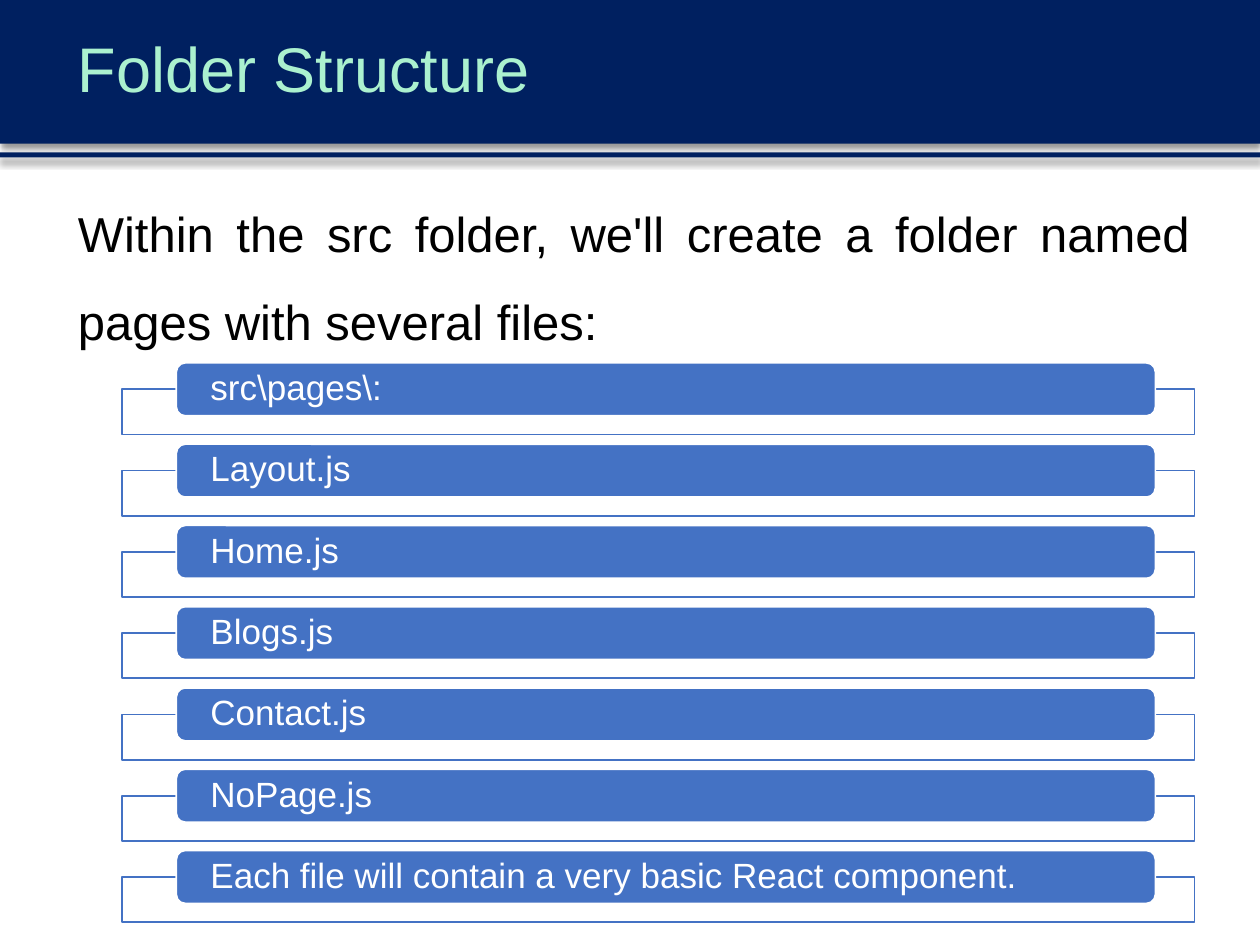
from typing import NamedTuple, Optional

from lxml import etree
from pptx import Presentation
from pptx import util as u
from pptx.dml.color import RGBColor
from pptx.enum import shapes, text
from pptx.oxml.ns import qn

WIDE, HIGH = 10, 7.5
NAVY, BLUE, WHITE, BLACK, MINT = "002060", "4472C4", "FFFFFF", "000000", "ABF1CF"
FONT = "Arial"
RECT = shapes.MSO_SHAPE.RECTANGLE
ROUND = shapes.MSO_SHAPE.ROUNDED_RECTANGLE

TOP, STEP = 2.88, 0.645  # first file row and the pitch of the rows
FILES = ["src\\pages\\:", "Layout.js", "Home.js", "Blogs.js", "Contact.js",
         "NoPage.js", "Each file will contain a very basic React component."]


class Box(NamedTuple):
    left: float
    top: float
    width: float
    height: float


class Style(NamedTuple):
    size: float
    color: str
    lines: float
    align: text.PP_ALIGN = text.PP_ALIGN.LEFT
    anchor: text.MSO_ANCHOR = text.MSO_ANCHOR.MIDDLE
    side: float = 0.1
    edge: float = 0.05


HEAD = Style(36, MINT, 0.9)
BODY = Style(28, BLACK, 1.5, text.PP_ALIGN.JUSTIFY, text.MSO_ANCHOR.TOP)
LABEL = Style(20, WHITE, 0.9, side=0.25, edge=0.02)


def place(box: Box) -> list:
    return [u.Inches(v) for v in box]


def paint(color: str) -> RGBColor:
    return RGBColor.from_string(color)


def draw(slide, kind, box: Box, fill: str, line: Optional[str] = None):
    shape = slide.shapes.add_shape(kind, *place(box))
    shape.shadow.inherit = False
    shape.fill.solid()
    shape.fill.fore_color.rgb = paint(fill)
    if line:
        shape.line.color.rgb = paint(line)
        shape.line.width = u.Pt(1)
    else:
        shape.line.fill.background()
    return shape


def write(shape, words: str, style: Style) -> None:
    frame = shape.text_frame
    frame.word_wrap = True
    frame.vertical_anchor = style.anchor
    frame.margin_left = frame.margin_right = u.Inches(style.side)
    frame.margin_top = frame.margin_bottom = u.Inches(style.edge)
    para = frame.paragraphs[0]
    para.alignment = style.align
    para.line_spacing = style.lines
    run = para.add_run()
    run.text = words
    run.font.name = FONT
    run.font.size = u.Pt(style.size)
    run.font.color.rgb = paint(style.color)


def shade(shape) -> None:
    """Cast a soft shadow straight down."""
    effects = shape._element.spPr.find(qn("a:effectLst"))
    outer = etree.SubElement(effects, qn("a:outerShdw"), blurRad=str(u.Pt(4)),
                             dist=str(u.Pt(3)), dir="5400000", rotWithShape="0")
    color = etree.SubElement(outer, qn("a:srgbClr"), val=BLACK)
    etree.SubElement(color, qn("a:alpha"), val="40000")


def fade(shape, share: int) -> None:
    """Set the opacity of the fill in percent."""
    color = shape._element.spPr.find(qn("a:solidFill")).find(qn("a:srgbClr"))
    etree.SubElement(color, qn("a:alpha"), val=str(share * 1000))


def row(slide, top: float, words: str) -> None:
    frame = draw(slide, RECT, Box(0.97, top + 0.21, 8.51, 0.36), WHITE, BLUE)
    fade(frame, 90)
    bar = draw(slide, ROUND, Box(1.4, top, 7.77, 0.42), BLUE, WHITE)
    write(bar, words, LABEL)


def main() -> None:
    deck = Presentation()
    deck.slide_width, deck.slide_height = u.Inches(WIDE), u.Inches(HIGH)
    slide = deck.slides.add_slide(deck.slide_layouts[6])

    for top, height in ((0, 1.14), (1.21, 0.04)):
        shade(draw(slide, RECT, Box(0, top, WIDE, height), NAVY))

    title = slide.shapes.add_textbox(*place(Box(0.52, 0, 9.48, 1.14)))
    write(title, "Folder Structure", HEAD)
    intro = slide.shapes.add_textbox(*place(Box(0.52, 1.33, 9.02, 6)))
    write(intro, "Within the src folder, we'll create a folder named "
                 "pages with several files:", BODY)

    for i, words in enumerate(FILES):
        row(slide, TOP + i * STEP, words)

    deck.save("out.pptx")


if __name__ == "__main__":
    main()
